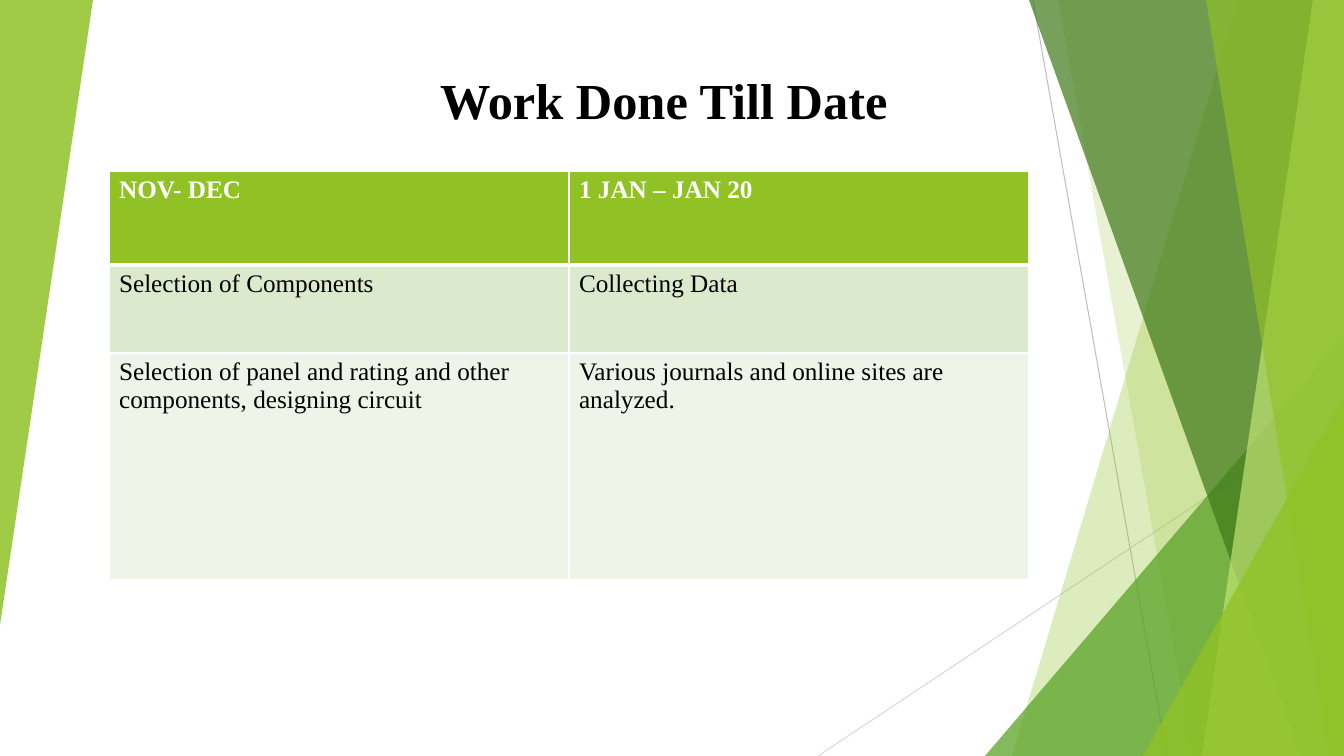
from lxml.etree import SubElement
from pptx import Presentation
from pptx.dml.color import RGBColor
from pptx.enum.shapes import MSO_CONNECTOR, MSO_SHAPE
from pptx.enum.text import MSO_ANCHOR, PP_ALIGN
from pptx.oxml import parse_xml
from pptx.oxml.ns import nsdecls, qn
from pptx.util import Emu, Pt

EMU_PER_PX = 914400 / 100.8
WIDTH, HEIGHT = 1344, 756
FONT = "Times New Roman"

WHITE = RGBColor(0xFF, 0xFF, 0xFF)
BLACK = RGBColor(0x00, 0x00, 0x00)
LIME = RGBColor(0x90, 0xC2, 0x26)
PALE_LIME = RGBColor(0xC0, 0xE4, 0x74)
GREEN = RGBColor(0x54, 0xA0, 0x21)
DARK_GREEN = RGBColor(0x3F, 0x78, 0x19)
GREY = RGBColor(0xBF, 0xBF, 0xBF)
LIGHT_GREY = RGBColor(0xD9, 0xD9, 0xD9)
BAND = RGBColor(0xDB, 0xE9, 0xCD)
LIGHT_BAND = RGBColor(0xEE, 0xF4, 0xE8)

RAYS = [((1033, 0), (1167, 756), GREY), ((1344, 406), (818, 756), LIGHT_GREY)]
FACETS = [
    ("band", (1238, 1012), LIME, 30),
    ("band", (1058, 1193), LIME, 20),
    ("triangle", (985, 336), GREEN, 72),
    ("band", (1029, 1301), DARK_GREEN, 70),
    ("band", (1313, 1202), PALE_LIME, 70),
    ("band", (1206, 1329), LIME, 65),
    ("triangle", (1143, 396), LIME, 80),
]
TABLE_ROWS = [
    (94, LIME, WHITE, True, ["NOV- DEC", "1 JAN – JAN 20"]),
    (88, BAND, BLACK, False, ["Selection of Components", "Collecting Data"]),
    (227, LIGHT_BAND, BLACK, False, [
        "Selection of panel and rating and other components, designing circuit",
        "Various journals and online sites are analyzed.",
    ]),
]


def px(length):
    return Emu(round(length * EMU_PER_PX))


def set_format(target, values):
    for name, value in values.items():
        setattr(target, name, value)


def format_text(paragraph, size, color, bold):
    set_format(paragraph.font, {"name": FONT, "size": Pt(size), "bold": bold})
    paragraph.font.color.rgb = color


def paint(shape, color, opacity):
    shape.shadow.inherit = False
    shape.line.fill.background()
    shape.fill.solid()
    shape.fill.fore_color.rgb = color
    color_element = shape.fill._xPr.find(qn("a:solidFill"))[0]
    SubElement(color_element, qn("a:alpha"), val=str(opacity * 1000))


def add_triangle(slide, box, color, opacity, rotation=0):
    shape = slide.shapes.add_shape(MSO_SHAPE.ISOSCELES_TRIANGLE, *map(px, box))
    shape.adjustments[0] = 1
    shape.rotation = rotation
    paint(shape, color, opacity)


def add_band(slide, top_x, bottom_x, right, bottom, color, opacity):
    builder = slide.shapes.build_freeform(top_x, 0, scale=EMU_PER_PX)
    builder.add_line_segments([(right, 0), (right, bottom), (bottom_x, bottom)])
    paint(builder.convert_to_shape(), color, opacity)


def add_right_decoration(slide, right, bottom):
    for start, end, color in RAYS:
        ray = slide.shapes.add_connector(
            MSO_CONNECTOR.STRAIGHT, *map(px, start + end))
        ray.line.width = Pt(0.75)
        ray.line.color.rgb = color
        SubElement(ray._element.spPr, qn("a:effectLst"))
    for kind, (first, second), color, opacity in FACETS:
        if kind == "band":
            add_band(slide, first, second, right, bottom, color, opacity)
        else:
            box = (first, second, right - first, bottom - second)
            add_triangle(slide, box, color, opacity)


def add_title(slide, box, text):
    title = slide.shapes.title
    set_format(title, dict(zip(("left", "top", "width", "height"), map(px, box))))
    title.text_frame.text = text
    set_format(title.text_frame,
               {"word_wrap": True, "vertical_anchor": MSO_ANCHOR.MIDDLE})
    paragraph = title.text_frame.paragraphs[0]
    paragraph.alignment = PP_ALIGN.CENTER
    format_text(paragraph, 36, BLACK, True)


def set_borders(cell, top, bottom):
    properties = cell._tc.get_or_add_tcPr()
    widths = {"lnL": 1, "lnR": 1, "lnT": top, "lnB": bottom}
    for index, (side, width) in enumerate(widths.items()):
        properties.insert(index, parse_xml(
            f'<a:{side} {nsdecls("a")} w="{Pt(width)}"><a:solidFill>'
            f'<a:srgbClr val="{WHITE}"/></a:solidFill></a:{side}>'))


def add_work_table(slide, box):
    column_count = len(TABLE_ROWS[0][-1])
    table = slide.shapes.add_table(
        len(TABLE_ROWS), column_count, *map(px, box)).table
    table.horz_banding = False
    for column in table.columns:
        column.width = px(box[2] / column_count)
    for row_index, (height, fill, color, bold, texts) in enumerate(TABLE_ROWS):
        table.rows[row_index].height = px(height)
        for column_index, text in enumerate(texts):
            cell = table.cell(row_index, column_index)
            cell.text = text
            cell.fill.solid()
            cell.fill.fore_color.rgb = fill
            format_text(cell.text_frame.paragraphs[0], 18, color, bold)
            set_borders(cell, 3 if row_index == 1 else 1,
                        3 if row_index == 0 else 1)


def main():
    presentation = Presentation()
    set_format(presentation,
               {"slide_width": px(WIDTH), "slide_height": px(HEIGHT)})
    slide = presentation.slides.add_slide(presentation.slide_layouts[5])
    add_right_decoration(slide, WIDTH, HEIGHT)
    add_triangle(slide, (0, 0, 93, 625), LIME, 85, rotation=180)
    add_work_table(slide, (109, 171, 920, 409))
    add_title(slide, (132, 64, 1064, 71), "Work Done Till Date")
    presentation.save("out.pptx")


if __name__ == "__main__":
    main()
